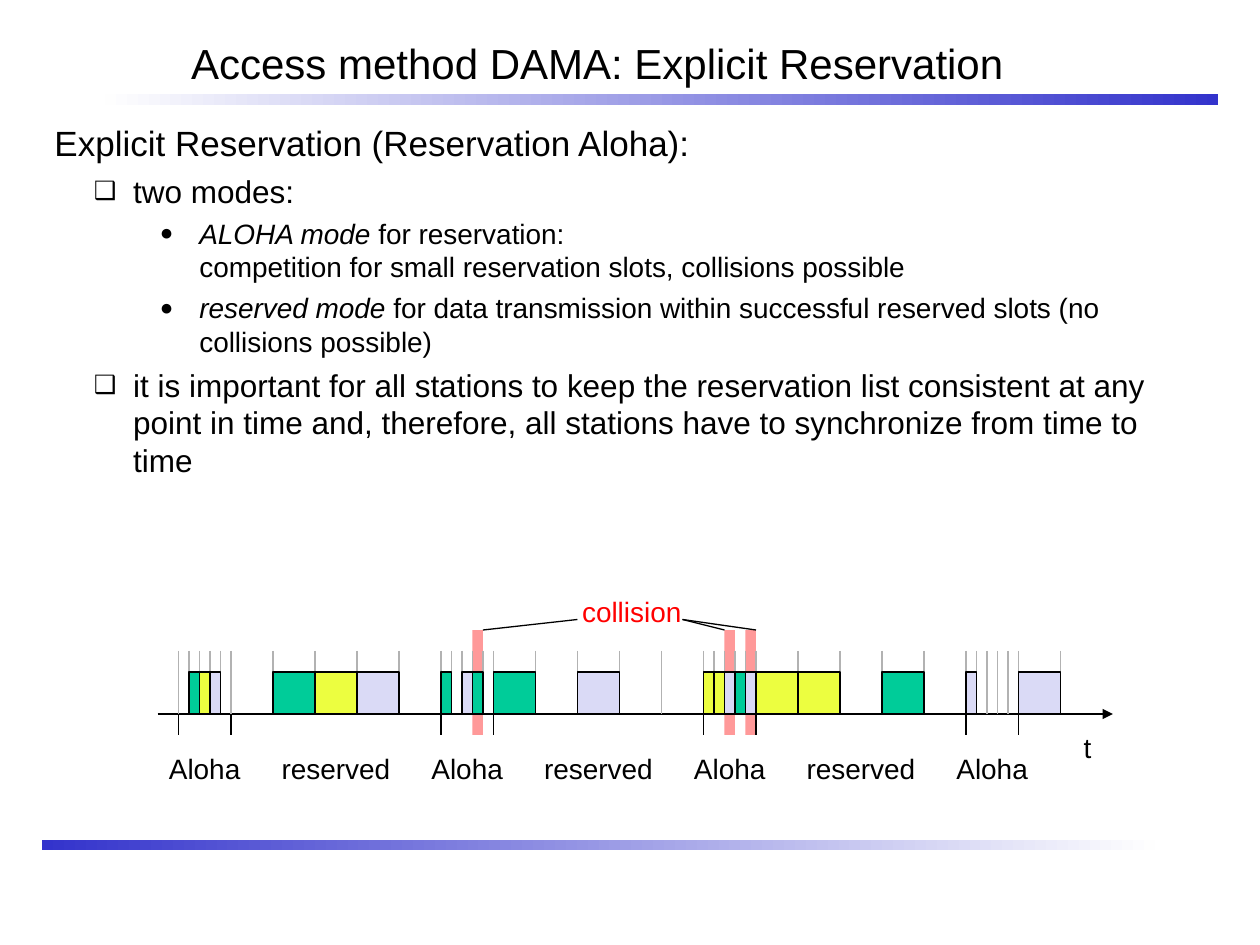
from dataclasses import dataclass
from itertools import accumulate

from pptx import Presentation
from pptx.dml.color import RGBColor as Rgb
from pptx.enum.shapes import MSO_CONNECTOR as Connector, MSO_SHAPE as Preset
from pptx.enum.text import MSO_ANCHOR as Anchor, MSO_AUTO_SIZE as AutoSize, PP_ALIGN as Align
from pptx.oxml.ns import qn
from pptx.util import Pt
from lxml.etree import SubElement


@dataclass(frozen=True)
class Theme:
    """Colours, font and type sizes of the slide."""
    font: str = "Arial"
    ink: str = "000000"
    bar: str = "3333CC"
    fade: str = "FEFEFE"
    grid: str = "B2B2B2"
    clash: str = "FF9999"
    alert: str = "FF0000"
    green: str = "00CC99"
    yellow: str = "ECFE40"
    lilac: str = "DADAF6"
    title: int = 24
    levels: tuple = (20, 18, 16)
    label: int = 16
    line: float = 0.75


@dataclass(frozen=True)
class Box:
    """A rectangle in points."""
    left: float
    top: float
    width: float
    height: float

    def in_points(self):
        """Return the four lengths as Pt values."""
        return [Pt(v) for v in (self.left, self.top, self.width, self.height)]


THEME = Theme()
STATIONS = {"G": THEME.green, "Y": THEME.yellow, "L": THEME.lilac}
CYCLES = [("-GYL-", "-GYL-"), ("G-LG-", "G-L--"), ("YYLGL", "YY-G-"), ("L----", "L")]
COLLISIONS = [(1, 3), (2, 2), (2, 4)]
MINI, WIDE = 6, 24
LEVELS = [(7.2, -7.2, 5, None), (45, -22.5, 4.5, "❑"), (82.8, -22.5, 4, "●")]
BODY = [
    (0, [("Explicit Reservation (Reservation Aloha):", False)]),
    (1, [("two modes:", False)]),
    (2, [("ALOHA mode", True), (" for reservation:", False), None,
         ("competition for small reservation slots, collisions possible", False)]),
    (2, [("reserved mode", True),
         (" for data transmission within successful reserved slots (no collisions possible)", False)]),
    (1, [("it is important for all stations to keep the reservation list consistent at any "
          "point in time and, therefore, all stations have to synchronize from time to time", False)]),
]


def add_run(paragraph, text, size, color=THEME.ink, italic=False):
    """Add one formatted run."""
    run = paragraph.add_run()
    run.text = text
    run.font.name, run.font.size, run.font.italic = THEME.font, Pt(size), italic
    run.font.color.rgb = Rgb.from_string(color)


def add_rect(slide, box, fill=None, outlined=False):
    """Add a flat rectangle, outlined on request."""
    rect = slide.shapes.add_shape(Preset.RECTANGLE, *box.in_points())
    rect.shadow.inherit = False
    if fill:
        rect.fill.solid()
        rect.fill.fore_color.rgb = Rgb.from_string(fill)
    if outlined:
        rect.line.color.rgb = Rgb.from_string(THEME.ink)
        rect.line.width = Pt(THEME.line)
    else:
        rect.line.fill.background()
    return rect


def add_line(slide, start, end, color=THEME.ink, arrow=False):
    """Add a straight line, with an arrowhead at its end on request."""
    line = slide.shapes.add_connector(Connector.STRAIGHT, *(Pt(v) for v in (*start, *end)))
    line.line.color.rgb = Rgb.from_string(color)
    line.line.width = Pt(THEME.line)
    if arrow:
        SubElement(line.line._get_or_add_ln(), qn("a:tailEnd"), type="triangle")
    SubElement(line._element.spPr, qn("a:effectLst"))


def add_label(slide, text, center, top, width, color=THEME.ink):
    """Add a one-line label centred on a position."""
    label = slide.shapes.add_textbox(*Box(center - width / 2, top, width, 26.6).in_points())
    frame = label.text_frame
    frame.word_wrap, frame.auto_size = False, AutoSize.SHAPE_TO_FIT_TEXT
    frame.vertical_anchor = Anchor.MIDDLE
    frame.paragraphs[0].alignment = Align.CENTER
    add_run(frame.paragraphs[0], text, THEME.label, color)


def add_fading_bar(slide, box, left_color, right_color):
    """Add a bar that fades from one side to the other."""
    bar = add_rect(slide, box)
    bar.fill.gradient()
    bar.fill.gradient_angle = 0
    for stop, position, color in zip(bar.fill.gradient_stops, (0, 1), (left_color, right_color)):
        stop.position = position
        stop.color.rgb = Rgb.from_string(color)


def add_title(slide, box, text):
    """Place and fill the title placeholder."""
    title = slide.shapes.title
    title.left, title.top, title.width, title.height = box.in_points()
    frame = title.text_frame
    frame.auto_size, frame.vertical_anchor = AutoSize.NONE, Anchor.BOTTOM
    frame.paragraphs[0].alignment = Align.LEFT
    add_run(frame.paragraphs[0], text, THEME.title)


def format_level(paragraph, level, first):
    """Set indent, spacing and bullet of an outline level."""
    margin, indent, space, bullet = LEVELS[level]
    props = paragraph._p.get_or_add_pPr()
    props.set("marL", str(Pt(margin)))
    props.set("indent", str(Pt(indent)))
    paragraph.level = level
    paragraph.space_before = Pt(0 if first else space)
    if bullet:
        SubElement(SubElement(props, qn("a:buClr")), qn("a:srgbClr"), val=THEME.ink)
        SubElement(props, qn("a:buSzPct"), val="80000")
        SubElement(props, qn("a:buFont"), typeface=THEME.font)
        SubElement(props, qn("a:buChar"), char=bullet)


def add_outline(slide, box, items):
    """Add the bulleted outline."""
    frame = slide.shapes.add_textbox(*box.in_points()).text_frame
    frame.word_wrap = True
    for index, (level, runs) in enumerate(items):
        paragraph = frame.add_paragraph() if index else frame.paragraphs[0]
        format_level(paragraph, level, index == 0)
        for run in runs:
            if run is None:
                paragraph.add_line_break()
            else:
                add_run(paragraph, run[0], THEME.levels[level], italic=run[1])


def add_timeline(slide, box):
    """Draw the slotted time axis with its collisions and mode labels."""
    axis, first_slot = box.top + 72, box.left + 12
    aloha_width, reserved_width = 5 * MINI, 5 * WIDE
    starts = [first_slot + n * (aloha_width + reserved_width) for n in range(len(CYCLES))]
    clashes = [starts[cycle] + slot * MINI for cycle, slot in COLLISIONS]
    for clash in clashes:
        add_rect(slide, Box(clash, axis - 48, MINI, 60), THEME.clash)
    add_line(slide, (box.left, axis), (box.left + box.width, axis), arrow=True)

    slots = [(station, width) for aloha, reserved in CYCLES
             for stations, width in ((aloha, MINI), (reserved, WIDE)) for station in stations]
    edges = list(accumulate((width for _, width in slots), initial=first_slot))
    for edge in edges:
        add_line(slide, (edge, axis - 36), (edge, axis), THEME.grid)
    for start in starts:
        add_label(slide, "Aloha", start + aloha_width / 2, axis + 18, 58)
        if start != starts[-1]:
            add_label(slide, "reserved", start + aloha_width + reserved_width / 2, axis + 18, 80)
        for edge in (start, start + aloha_width):
            add_line(slide, (edge, axis), (edge, axis + 12))
    for (station, width), left in zip(slots, edges):
        if station in STATIONS:
            add_rect(slide, Box(left, axis - 24, width, 24), STATIONS[station], outlined=True)

    add_label(slide, "collision", box.left + 271, box.top, 74, THEME.alert)
    left_end, right_end = (box.left + 240, axis - 54), (box.left + 300, axis - 54)
    add_line(slide, left_end, (clashes[0] + MINI, axis - 48))
    add_line(slide, right_end, (clashes[1], axis - 48))
    add_line(slide, right_end, (clashes[2] + MINI, axis - 48))
    add_label(slide, "t", box.left + 531.4, axis + 6, 20)


def main():
    """Build and save the slide."""
    deck = Presentation()
    deck.slide_width, deck.slide_height = Pt(720), Pt(540)
    slide = deck.slides.add_slide(deck.slide_layouts[5])
    add_fading_bar(slide, Box(60, 54, 636, 6), THEME.fade, THEME.bar)
    add_fading_bar(slide, Box(24, 480, 636, 6), THEME.bar, THEME.fade)
    add_title(slide, Box(102, 0, 606, 54), "Access method DAMA: Explicit Reservation")
    add_outline(slide, Box(24, 66, 672, 243), BODY)
    add_timeline(slide, Box(90, 336, 546, 116.6))
    deck.save("out.pptx")


if __name__ == "__main__":
    main()
